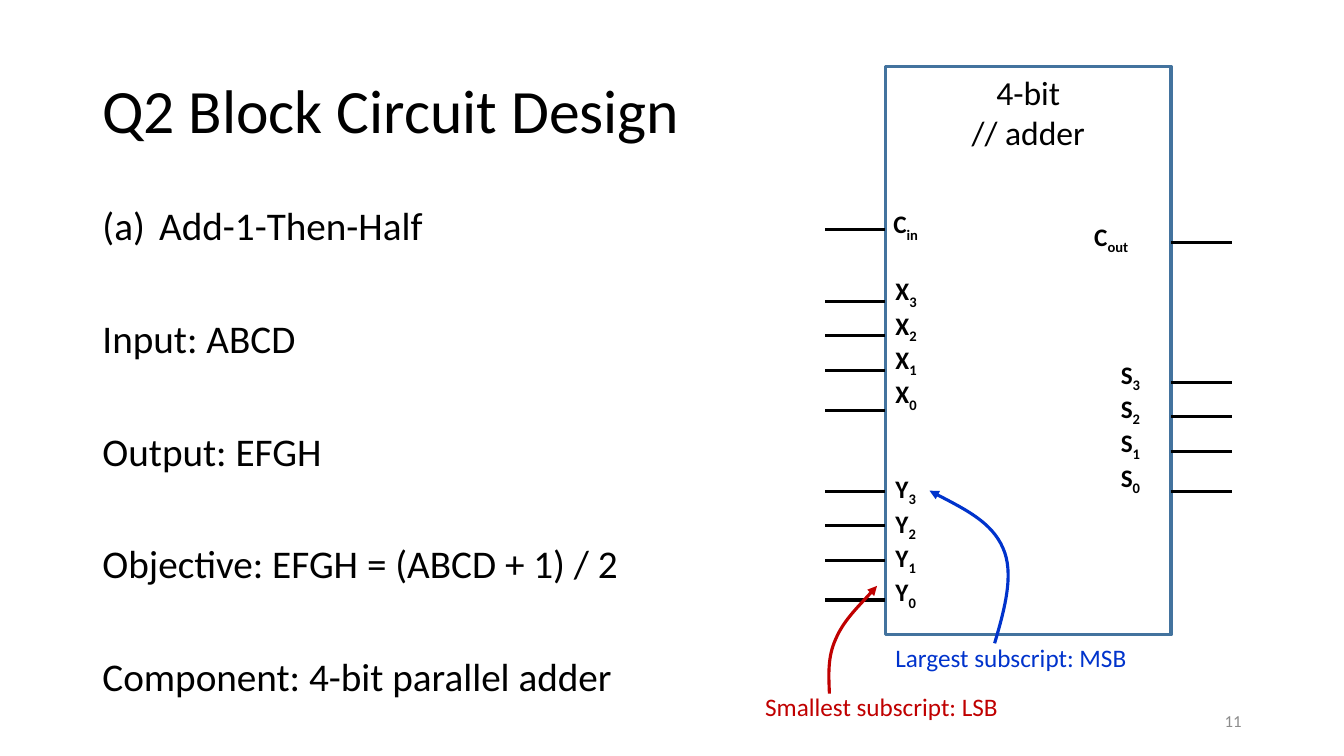
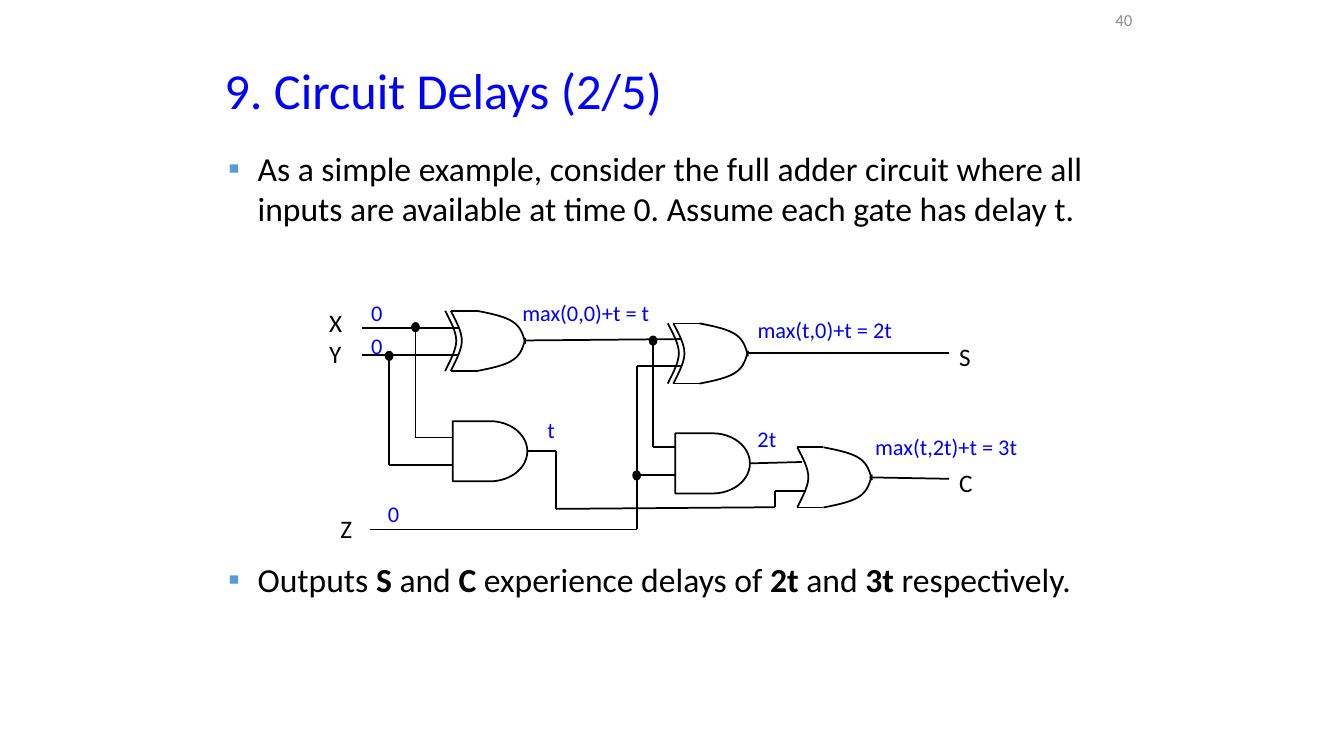
from itertools import pairwise

from lxml.etree import SubElement
from pptx import Presentation
from pptx.dml.color import RGBColor
from pptx.enum.shapes import MSO_CONNECTOR, MSO_SHAPE
from pptx.enum.text import MSO_ANCHOR, MSO_AUTO_SIZE, PP_ALIGN
from pptx.oxml.ns import qn
from pptx.util import Pt

BLACK = RGBColor(0x00, 0x00, 0x00)
GRAY = RGBColor(0x8C, 0x8C, 0x8C)
BLUE = RGBColor(0x00, 0x00, 0xFF)
MSB_BLUE = RGBColor(0x00, 0x33, 0xCC)
LSB_RED = RGBColor(0xC0, 0x00, 0x00)
BOX_BLUE = RGBColor(0x43, 0x73, 0x9E)
BULLET_BLUE = RGBColor(0x5B, 0x9B, 0xD5)

FONT = "Calibri"
PIN_WIDTH, WIRE_WIDTH = 2.25, 1.25
PIN_LENGTH = 43.2
PIN_OFFSETS = (0, 24, 49, 77.5)
GATE_W, GATE_H = 53.3, 43


# Text helpers
def set_format(target, values):
    for name, value in values.items():
        setattr(target, name, value)


def add_run(paragraph, text, size, color, bold=False, subscript=False):
    run = paragraph.add_run()
    run.text = text
    set_format(run.font, {"name": FONT, "size": Pt(size), "bold": bold})
    run.font.color.rgb = color
    if subscript:
        run.font._element.set("baseline", "-25000")


def place(shape, box):
    names = ("left", "top", "width", "height")
    set_format(shape, dict(zip(names, map(Pt, box))))
    set_format(shape.text_frame, {"word_wrap": True, "auto_size": MSO_AUTO_SIZE.NONE})


def add_label(slide, box, lines, size=18, color=BLACK, align=PP_ALIGN.LEFT,
              anchor=MSO_ANCHOR.TOP, bold=False):
    """Each line is a text, or a (letter, subscript) pair."""
    label = slide.shapes.add_textbox(*map(Pt, box))
    frame = label.text_frame
    set_format(frame, {"word_wrap": True, "vertical_anchor": anchor})
    for i, line in enumerate(lines):
        paragraph = frame.add_paragraph() if i else frame.paragraphs[0]
        paragraph.alignment = align
        base, subscript = (line, "") if isinstance(line, str) else line
        add_run(paragraph, base, size, color, bold)
        if subscript:
            add_run(paragraph, subscript, size, color, bold, subscript=True)


def add_title(slide, box, text, size, color):
    title = slide.shapes.title
    place(title, box)
    title.text_frame.vertical_anchor = MSO_ANCHOR.MIDDLE
    paragraph = title.text_frame.paragraphs[0]
    set_format(paragraph, {"alignment": PP_ALIGN.LEFT, "line_spacing": 0.9})
    add_run(paragraph, text, size, color)


def add_page_number(slide, box, number):
    add_label(slide, box, [number], 12, GRAY, PP_ALIGN.RIGHT, MSO_ANCHOR.MIDDLE)


def set_bullet(paragraph, indent, tag, color=None, **attributes):
    props = paragraph._p.get_or_add_pPr()
    props.set("marL", str(Pt(indent)))
    props.set("indent", str(-Pt(indent)))
    if color is not None:
        bullet_color = SubElement(props, qn("a:buClr"))
        SubElement(bullet_color, qn("a:srgbClr")).set("val", str(color))
    bullet = SubElement(props, qn(tag))
    for name, value in attributes.items():
        bullet.set(name, value)


# Drawing helpers
def add_line(slide, start, end, width):
    line = slide.shapes.add_connector(MSO_CONNECTOR.STRAIGHT, *map(Pt, (*start, *end)))
    line.line.color.rgb = BLACK
    line.line.width = Pt(width)
    SubElement(line._element.spPr, qn("a:effectLst"))
    return line


def outline(shape, color, width):
    shape.shadow.inherit = False
    shape.fill.background()
    shape.line.color.rgb = color
    shape.line.width = Pt(width)


def add_curve(slide, origin, points, color, width):
    """A chain of cubic curves: the start, then three points for each curve."""
    start, *rest = [(Pt(origin[0] + x), Pt(origin[1] + y)) for x, y in points]
    builder = slide.shapes.build_freeform(*start)
    builder.add_line_segments(rest, close=False)
    shape = builder.convert_to_shape()
    steps = list(shape._element.iter(qn("a:lnTo")))
    for first, second, third in zip(steps[::3], steps[1::3], steps[2::3]):
        first.tag = qn("a:cubicBezTo")
        for step in (second, third):
            first.append(step[0])
            step.getparent().remove(step)
    outline(shape, color, width)
    return shape


def add_curved_arrow(slide, origin, points, color):
    arrow = add_curve(slide, origin, points, color, PIN_WIDTH)
    SubElement(arrow._element.spPr.find(qn("a:ln")), qn("a:tailEnd")).set("type", "triangle")


# Adder block
def add_adder(slide, box):
    left, top, width, height = box
    adder = slide.shapes.add_shape(MSO_SHAPE.RECTANGLE, *map(Pt, box))
    outline(adder, BOX_BLUE, PIN_WIDTH)
    add_label(slide, (left + 33, top, 138, 82), ["4-bit", "// adder"], 24,
              align=PP_ALIGN.CENTER)

    # Pin groups: letter, subscripts, wire start, label x, label y, label width, first pin y
    inputs, outputs = -PIN_LENGTH, width
    pin_groups = (
        ("C", ["in"], inputs, -1.5, 98, 51, 116.5),
        ("X", "3210", inputs, 0, 145.8, 51, 168),
        ("Y", "3210", inputs, 0, 287.2, 51, 303.6),
        ("C", ["out"], outputs, 142, 107, 65, 125.5),
        ("S", "3210", outputs, 161, 205.3, 45, 226),
    )
    for letter, subscripts, wire_x, x, y, label_width, first_pin in pin_groups:
        label_height = 36.5 if len(subscripts) == 1 else 119
        add_label(slide, (left + x, top + y, label_width, label_height),
                  [(letter, subscript) for subscript in subscripts], bold=True)
        for _, offset in zip(subscripts, PIN_OFFSETS):
            pin_y = top + first_pin + offset
            start = left + wire_x
            add_line(slide, (start, pin_y), (start + PIN_LENGTH, pin_y), PIN_WIDTH)

    # Notes on bit order: text, text position, colour, arrow
    notes = (
        ("Largest subscript: MSB", (0, 408), MSB_BLUE,
         ((78, 412), (85.5, 386.5), (92, 362), (84, 344),
          (76, 325.5), (53.5, 314.5), (31.5, 303))),
        ("Smallest subscript: LSB", (-93, 443), LSB_RED,
         ((-40, 448), (-40.5, 435), (-41.5, 422), (-35.5, 409),
          (-30, 396), (-17.5, 384), (-6, 371))),
    )
    for text, (x, y), color, arrow in notes:
        add_label(slide, (left + x, top + y, 200, 29), [text], color=color)
        add_curved_arrow(slide, (left, top), arrow, color)


# Gates
def add_or_gate(slide, left, top, exclusive=False):
    back = ((0, 0), (3.6, 7.2), (7.9, 14.4), (7.9, 21.6),
            (7.9, 28.8), (1.4, 39.6), (0, GATE_H))
    upper = ((18.7, 0), (28.8, 2), (38.9, 4), (44.6, 8),
             (50.4, 12), (51.8, 17.7), (GATE_W, 23.5))
    lower = [(x, GATE_H - y) for x, y in upper]
    for points in (back, upper, lower):
        add_curve(slide, (left, top), points, BLACK, WIRE_WIDTH)
    for y in (top, top + GATE_H):
        add_line(slide, (left, y), (left + upper[0][0], y), WIRE_WIDTH)
    if exclusive:
        add_curve(slide, (left - 4, top), back, BLACK, WIRE_WIDTH)


def add_and_gate(slide, left, top):
    gate = slide.shapes.add_shape(MSO_SHAPE.FLOWCHART_DELAY,
                                  *map(Pt, (left, top, GATE_W, GATE_H)))
    outline(gate, BLACK, WIRE_WIDTH)
    return gate


# Full adder circuit
def add_full_adder(slide, left, top):
    add_or_gate(slide, left + 94, top + 12, exclusive=True)
    add_or_gate(slide, left + 253, top + 21, exclusive=True)
    add_or_gate(slide, left + 341.5, top + 109.5)
    and_xy = add_and_gate(slide, left + 95.4, top + 90.8)
    and_z = add_and_gate(slide, left + 254.4, top + 99.5)

    # Wires: corner points, and the gate whose output starts the wire
    wires = (
        (((30.5, 24.2), (100, 24.2)), None),
        (((30.5, 43.7), (100, 43.7)), None),
        (((68.8, 24.2), (68.8, 102.5), (95.4, 102.5)), None),
        (((49.8, 43.7), (49.8, 122), (95.4, 122)), None),
        (((147, 33.2), (258.5, 32.2)), None),
        (((238.5, 32), (238.5, 109.5), (254, 109.5)), None),
        (((36, 168.2), (227, 168.2), (227, 51.5), (258.5, 51.5)), None),
        (((227, 129.5), (254.4, 129.5)), None),
        (((148.7, 112.3), (169.2, 112.3), (169.2, 153.5),
          (325.7, 152.3), (325.7, 140.5), (348, 140.5)), and_xy),
        (((307.7, 121), (345, 120)), and_z),
        (((306, 42), (450, 42)), None),
        (((393, 131), (450, 132)), None),
    )
    for corners, source in wires:
        points = [(left + x, top + y) for x, y in corners]
        segments = [add_line(slide, a, b, WIRE_WIDTH) for a, b in pairwise(points)]
        if source is not None:
            segments[0].begin_connect(source, 3)

    # Junction dots
    for x, y in ((50, 44.2), (68.8, 23.7), (226.8, 129.6), (238.5, 33.3)):
        dot = slide.shapes.add_shape(MSO_SHAPE.OVAL, Pt(left + x - 2.5), Pt(top + y - 3),
                                     Pt(5), Pt(6))
        outline(dot, BLACK, WIRE_WIDTH)
        dot.fill.solid()
        dot.fill.fore_color.rgb = BLACK

    # Signal names: lines, position, height
    for lines, x, y, height in ((["X", "Y"], 0, 6.2, 43), (["Z"], 8, 153, 27),
                                (["S"], 450, 30.2, 27), (["C"], 450, 120, 27)):
        add_label(slide, (left + x, top + y, 30, height), lines)

    # Delay of each signal
    for delay, x, y, width in (
            ("0", 30, 0, 24), ("0", 30, 24, 24), ("0", 42, 144, 24),
            ("max(0,0)+t = t", 138, 0, 119), ("t", 156, 83.5, 19),
            ("max(t,0)+t = 2t", 306, 12, 126), ("2t", 306, 90, 30),
            ("max(t,2t)+t = 3t", 390, 96, 126)):
        add_label(slide, (left + x, top + y, width, 27), [delay], 16, BLUE)


# Slides
def add_task_list(body, box, lines):
    place(body, box)
    for i, line in enumerate(lines):
        paragraph = body.text_frame.add_paragraph() if i else body.text_frame.paragraphs[0]
        set_format(paragraph, {"line_spacing": 0.9, "space_before": Pt(50.3 if i else 10)})
        if i:
            set_bullet(paragraph, 0, "a:buNone")
        else:
            set_bullet(paragraph, 40.5, "a:buAutoNum", type="alphaLcParenBoth")
        add_run(paragraph, line, 28, BLACK)


def add_remark(body, box, parts):
    """Every second part is bold."""
    place(body, box)
    paragraph = body.text_frame.paragraphs[0]
    paragraph.space_before = Pt(5)
    set_bullet(paragraph, 21, "a:buChar", BULLET_BLUE, char="▪")
    for i, part in enumerate(parts):
        add_run(paragraph, part, 24, BLACK, bold=i % 2 == 1)


def block_design_slide(deck):
    slide = deck.slides.add_slide(deck.slide_layouts[1])
    add_title(slide, (66, 29, 828, 104), "Q2 Block Circuit Design", 44, BLACK)
    add_task_list(slide.placeholders[1], (66, 144, 828, 374), (
        "Add-1-Then-Half", "Input: ABCD", "Output: EFGH",
        "Objective: EFGH = (ABCD + 1) / 2", "Component: 4-bit parallel adder"))
    add_adder(slide, (632.5, 47.5, 204, 406))
    add_page_number(slide, (678, 500.5, 216, 29), "11")


def circuit_delays_slide(deck):
    slide = deck.slides.add_slide(deck.slide_layouts[3])
    add_title(slide, (153, 41, 663, 50.5), "9. Circuit Delays (2/5)", 36, BLUE)
    add_page_number(slide, (748, 1, 68, 26), "40")
    add_remark(slide.placeholders[1], (155.8, 102, 648, 132), (
        "As a simple example, consider the full adder circuit where all inputs are "
        "available at time 0. Assume each gate has delay t.",))
    add_full_adder(slide, 228, 210)
    add_remark(slide.placeholders[2], (155.8, 395.7, 648, 66), (
        "Outputs ", "S", " and ", "C", " experience delays of ", "2t ", "and ", "3t",
        " respectively."))


def main():
    deck = Presentation()
    set_format(deck, {"slide_width": Pt(960), "slide_height": Pt(540)})
    block_design_slide(deck)
    circuit_delays_slide(deck)
    deck.save("out.pptx")


if __name__ == "__main__":
    main()
